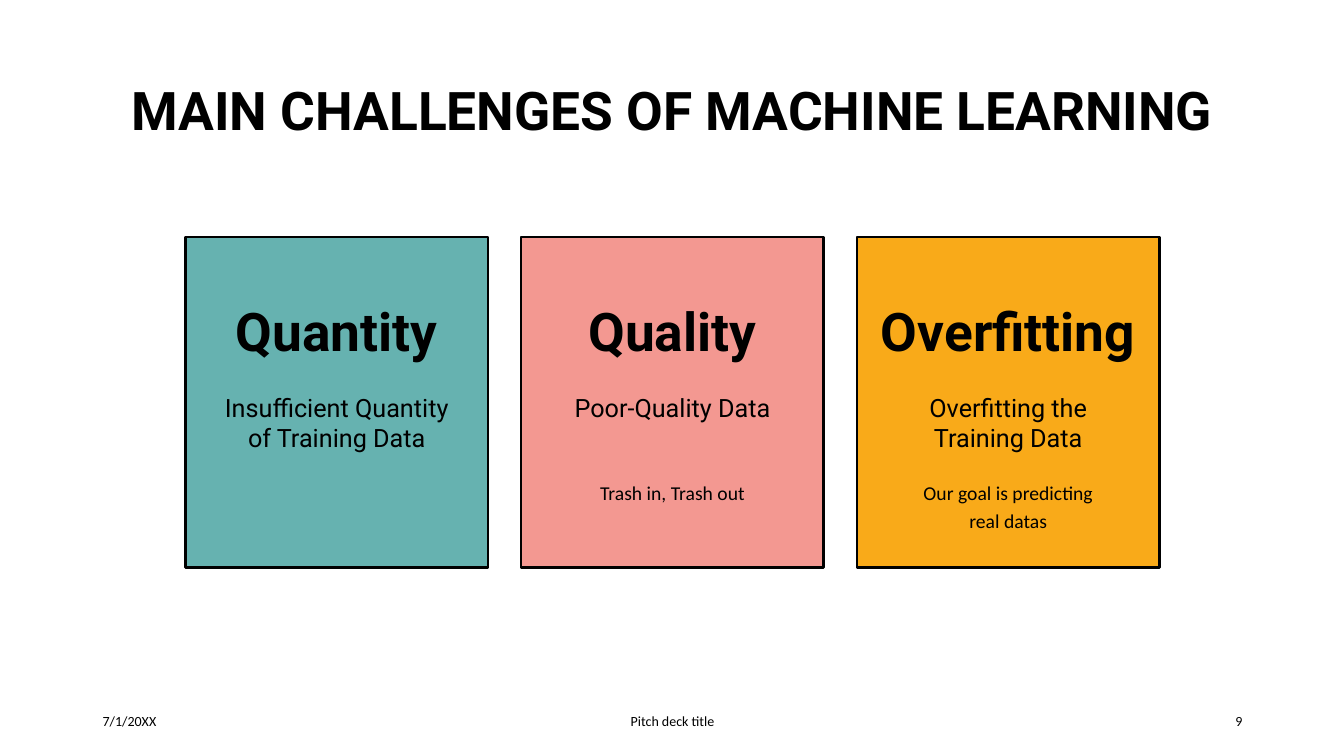
from pptx import Presentation
from pptx.dml.color import RGBColor
from pptx.enum.shapes import MSO_SHAPE
from pptx.enum.text import MSO_ANCHOR, PP_ALIGN
from pptx.util import Inches, Pt

BLACK = "000000"
CARD_LEFT, CARD_TOP, CARD_WIDTH, CARD_HEIGHT = 1.84, 2.35, 3, 3.28
CARD_STEP = 3.33
TEXT_INDENT, TEXT_WIDTH = 0.25, 2.5


def rgb(hex_color):
    return RGBColor.from_string(hex_color)


def write(shape, text, size, font, align=PP_ALIGN.CENTER, anchor=MSO_ANCHOR.TOP,
          bold=False, spacing=1.0):
    """Fill a shape with wrapped black text, one paragraph per line."""
    frame = shape.text_frame
    frame.word_wrap = True
    frame.vertical_anchor = anchor
    frame.text = text
    for paragraph in frame.paragraphs:
        paragraph.alignment = align
        paragraph.line_spacing = spacing
        for run in paragraph.runs:
            run.font.name = font
            run.font.size = Pt(size)
            run.font.bold = bold
            run.font.color.rgb = rgb(BLACK)


prs = Presentation()
prs.slide_width, prs.slide_height = Inches(13.33), Inches(7.5)
slide = prs.slides.add_slide(prs.slide_layouts[6])
shapes = slide.shapes

title = shapes.add_textbox(Inches(0.72), Inches(0.4), Inches(11.9), Inches(1.45))
write(title, "MAIN CHALLENGES OF MACHINE LEARNING", 38, "Roboto",
      anchor=MSO_ANCHOR.MIDDLE, bold=True, spacing=0.9)

challenges = [
    ("Quantity", "66B2B0", "Insufficient Quantity of Training Data", ""),
    ("Quality", "F39891", "Poor-Quality Data", "Trash in, Trash out"),
    ("Overfitting", "F9AA19", "Overfitting the Training Data",
     "Our goal is predicting\nreal datas"),
]
for index, (heading, color, summary, remark) in enumerate(challenges):
    left = CARD_LEFT + index * CARD_STEP
    card = shapes.add_shape(MSO_SHAPE.RECTANGLE, Inches(left), Inches(CARD_TOP),
                            Inches(CARD_WIDTH), Inches(CARD_HEIGHT))
    card.shadow.inherit = False
    card.fill.solid()
    card.fill.fore_color.rgb = rgb(color)
    card.line.color.rgb = rgb(BLACK)
    card.line.width = Pt(1.75)
    card.text_frame.margin_left = card.text_frame.margin_right = 0
    card.text_frame.margin_top = Inches(0.68)
    write(card, heading, 38, "Roboto", bold=True, spacing=0.9)

    text_left = Inches(left + TEXT_INDENT)
    summary_box = shapes.add_textbox(text_left, Inches(3.84), Inches(TEXT_WIDTH), Inches(0.8))
    write(summary_box, summary, 18, "Roboto")
    if remark:
        remark_box = shapes.add_textbox(text_left, Inches(4.68), Inches(TEXT_WIDTH), Inches(0.7))
        write(remark_box, remark, 14, "Calibri", spacing=Pt(20))

footer = [
    ("7/1/20XX", 0.92, 3, PP_ALIGN.LEFT),
    ("Pitch deck title", 4.42, 4.5, PP_ALIGN.CENTER),
    ("9", 9.42, 3, PP_ALIGN.RIGHT),
]
for text, left, width, align in footer:
    footer_box = shapes.add_textbox(Inches(left), Inches(6.95), Inches(width), Inches(0.4))
    write(footer_box, text, 10, "Calibri", align=align, anchor=MSO_ANCHOR.MIDDLE)

prs.save("out.pptx")
